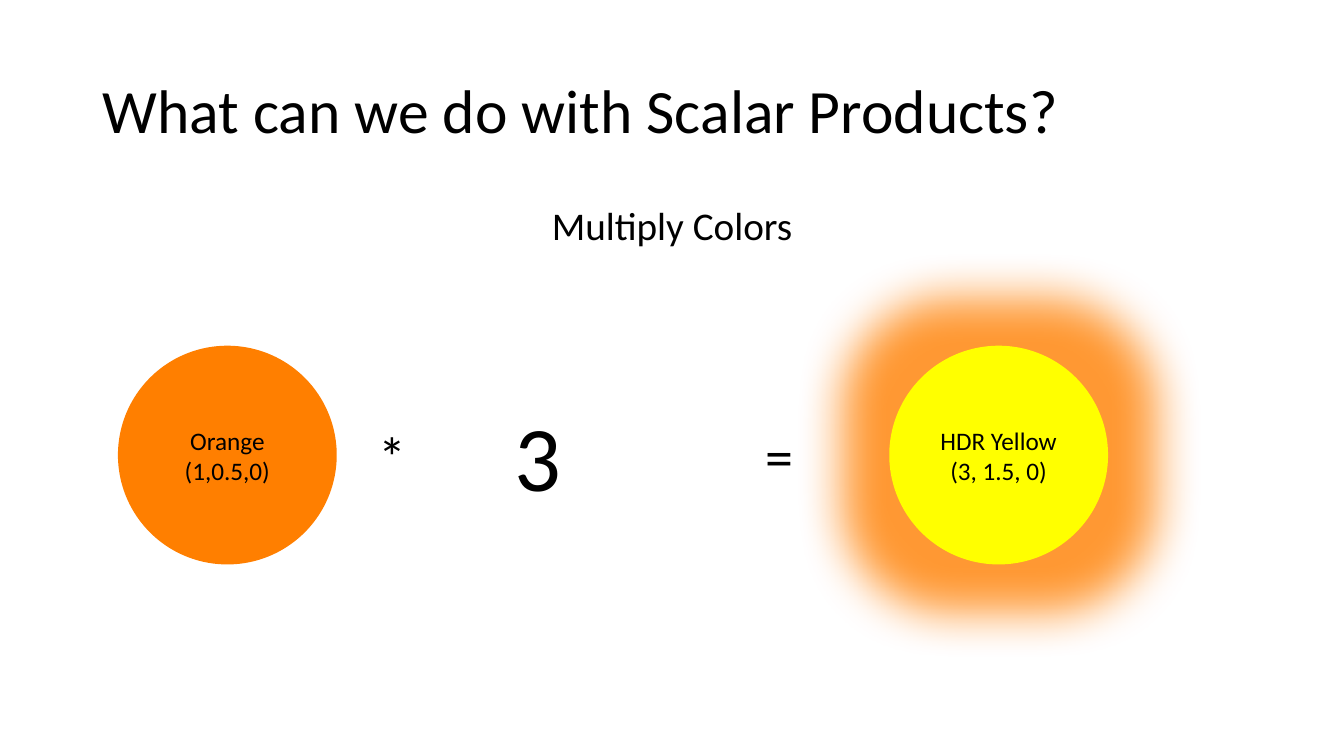
import pptx
import pptx.dml.color
import pptx.enum.shapes
import pptx.enum.text
import pptx.oxml
import pptx.oxml.ns
import pptx.util

W, H = 13.33, 7.5
MARGIN = 0.92
FONT = "Calibri"
COLORS = {"text": "000000", "orange": "FF7F00", "yellow": "FFFF00"}
ALIGN = pptx.enum.text.PP_ALIGN
ANCHOR = pptx.enum.text.MSO_ANCHOR


def rgb(name):
    return pptx.dml.color.RGBColor.from_string(COLORS[name])


def inches(*lengths):
    return [pptx.util.Inches(n) for n in lengths]


def write(sp, text, size, align=ALIGN.LEFT, anchor=ANCHOR.TOP, spacing=1.0):
    """Fill a shape with text, one paragraph per line."""
    tf = sp.text_frame
    tf.text = text
    tf.word_wrap = True
    tf.auto_size = pptx.enum.text.MSO_AUTO_SIZE.NONE
    tf.vertical_anchor = anchor
    for p in tf.paragraphs:
        p.alignment = align
        p.line_spacing = spacing
        for r in p.runs:
            r.font.name = FONT
            r.font.size = pptx.util.Pt(size)
            r.font.color.rgb = rgb("text")


def add_text(s, box, text, size, **fmt):
    write(s.shapes.add_textbox(*inches(*box)), text, size, **fmt)


def add_glow(sp, color, radius, opacity):
    """Put a soft halo, radius in points, around a shape."""
    ns = pptx.oxml.ns.nsdecls("a")
    effects = pptx.oxml.parse_xml(
        f'<a:effectLst {ns}><a:glow rad="{pptx.util.Pt(radius)}">'
        f'<a:srgbClr val="{COLORS[color]}"><a:alpha val="{opacity * 1000}"/>'
        f'</a:srgbClr></a:glow></a:effectLst>')
    pr = sp._element.spPr
    pr.replace(pr.find(pptx.oxml.ns.qn("a:effectLst")), effects)


def add_color_disc(s, x, y, size, color, label):
    oval = pptx.enum.shapes.MSO_SHAPE.OVAL
    sp = s.shapes.add_shape(oval, *inches(x, y, size, size))
    sp.shadow.inherit = False
    sp.fill.solid()
    sp.fill.fore_color.rgb = rgb(color)
    sp.line.fill.background()
    write(sp, label, 18, align=ALIGN.CENTER, anchor=ANCHOR.MIDDLE)
    return sp


def add_heading(s, x, y, w, h):
    title = s.shapes.title
    title.left, title.top, title.width, title.height = inches(x, y, w, h)
    write(title, "What can we do with Scalar Products?", 44,
          anchor=ANCHOR.MIDDLE, spacing=0.9)


def add_equation(s, x, y, w, disc):
    """Lay out orange * 3 = yellow between the two ends of the box."""
    add_color_disc(s, x, y, disc, "orange", "Orange\n(1,0.5,0)")
    bright = add_color_disc(s, x + w - disc, y, disc, "yellow",
                            "HDR Yellow\n(3, 1.5, 0)")
    add_glow(bright, "orange", radius=68, opacity=80)
    middle = y + disc / 2
    for dx, width, height, symbol, size in (
            (2.49, 0.51, 0.77, "*", 40),
            (3.83, 1.86, 1.21, "3", 66),
            (6.32, 0.51, 0.77, "=", 40)):
        add_text(s, (x + dx, middle - height / 2, width, height), symbol, size)


def main():
    prs = pptx.Presentation()
    prs.slide_width, prs.slide_height = inches(W, H)
    s = prs.slides.add_slide(prs.slide_layouts[5])
    width = W - 2 * MARGIN
    add_heading(s, MARGIN, 0.4, width, 1.45)
    add_text(s, (MARGIN, 2, width, 4.76), "Multiply Colors", 28,
             align=ALIGN.CENTER, spacing=0.9)
    add_equation(s, 1.17, 3.43, 9.82, 2.17)
    prs.save("out.pptx")


if __name__ == "__main__":
    main()
